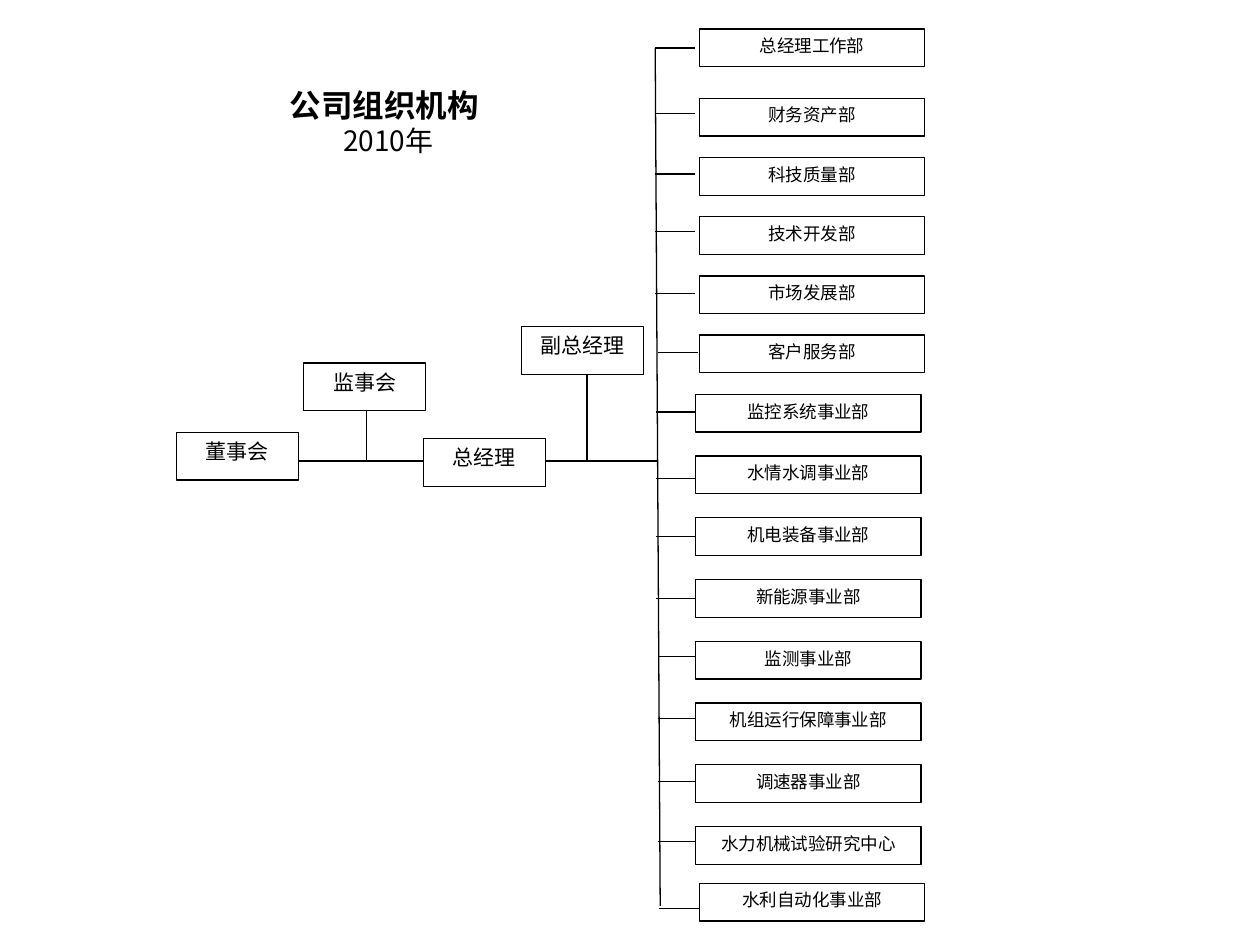
"""Builds a one-slide organisation chart of a company."""
from dataclasses import dataclass

from lxml.etree import SubElement
from pptx import Presentation
from pptx.dml.color import RGBColor
from pptx.enum.shapes import MSO_CONNECTOR, MSO_SHAPE
from pptx.enum.text import MSO_ANCHOR, MSO_AUTO_SIZE, PP_ALIGN
from pptx.oxml.ns import qn
from pptx.util import Inches, Pt


@dataclass(frozen=True)
class Theme:
    ink: RGBColor = RGBColor(0, 0, 0)
    paper: RGBColor = RGBColor(255, 255, 255)
    body_font: str = "Calibri"
    title_font: str = "Noto Sans CJK SC"
    title: Pt = Pt(18)
    subtitle: Pt = Pt(16)
    leader: Pt = Pt(12)
    department: Pt = Pt(10)
    line: Pt = Pt(0.75)


THEME = Theme()

LEADERS = [
    ("副总经理", 4.14, 2.59),
    ("总经理", 3.36, 3.48),
    ("监事会", 2.41, 2.88),
    ("董事会", 1.40, 3.43),
]
LEADER_LINES = [
    (2.37, 3.66, 3.36, 3.66),
    (2.91, 3.25, 2.91, 3.66),
    (4.33, 3.66, 5.22, 3.66),
    (4.66, 2.97, 4.66, 3.66),
]
SPINE = (5.20, 0.38, 5.24, 7.19)
STUB_LENGTH = 0.32

HEAD_OFFICE = [("总经理工作部", 5.20, 0.38)]
OFFICES = [
    ("财务资产部", 5.20, 0.90),
    ("科技质量部", 5.20, 1.38),
    ("技术开发部", 5.20, 1.84),
    ("市场发展部", 5.20, 2.33),
    ("客户服务部", 5.22, 2.80),
]
DIVISIONS = [
    ("监控系统事业部", 5.21, 3.27),
    ("水情水调事业部", 5.21, 3.80),
    ("机电装备事业部", 5.21, 4.26),
    ("新能源事业部", 5.21, 4.75),
    ("监测事业部", 5.22, 5.21),
    ("机组运行保障事业部", 5.22, 5.70),
    ("调速器事业部", 5.22, 6.20),
    ("水力机械试验研究中心", 5.22, 6.68),
]
AUTOMATION = [("水利自动化事业部", 5.23, 7.21)]

DEPARTMENT_GROUPS = [
    (HEAD_OFFICE, 5.55, 0.23, 0),
    (OFFICES, 5.55, 0.78, 0.47),
    (DIVISIONS, 5.52, 3.13, 0.49),
    (AUTOMATION, 5.55, 7.01, 0),
]


def style_paragraph(p, size, font, bold=False):
    """Centre a paragraph and set its font."""
    p.alignment = PP_ALIGN.CENTER
    p.font.size, p.font.name, p.font.bold = size, font, bold
    p.font.color.rgb = THEME.ink


def style_box(sp, line_color):
    """Give a box a white fill and a thin outline."""
    sp.fill.solid()
    sp.fill.fore_color.rgb = THEME.paper
    sp.line.color.rgb = line_color
    sp.line.width = THEME.line
    sp.text_frame.vertical_anchor = MSO_ANCHOR.TOP


def add_title(slide):
    """Fill and place the title with the year below it."""
    sp = slide.shapes.title
    sp.left, sp.top, sp.width, sp.height = map(Inches, (1.48, 0.63, 3.2, 0.67))
    style_box(sp, THEME.paper)
    tf = sp.text_frame
    tf.auto_size = MSO_AUTO_SIZE.SHAPE_TO_FIT_TEXT
    tf.text = "公司组织机构 \n2010年"
    heading, year = tf.paragraphs
    style_paragraph(heading, THEME.title, THEME.title_font, bold=True)
    style_paragraph(year, THEME.subtitle, THEME.title_font)


def add_box(slide, text, left, top, width, height, size):
    """Add an outlined box with centred text."""
    sp = slide.shapes.add_shape(
        MSO_SHAPE.RECTANGLE, *map(Inches, (left, top, width, height)))
    sp.shadow.inherit = False
    style_box(sp, THEME.ink)
    p = sp.text_frame.paragraphs[0]
    p.text = text
    style_paragraph(p, size, THEME.body_font)


def add_line(slide, x1, y1, x2, y2):
    """Add a thin straight connector without shadow."""
    line = slide.shapes.add_connector(
        MSO_CONNECTOR.STRAIGHT, *map(Inches, (x1, y1, x2, y2)))
    line.line.color.rgb = THEME.ink
    line.line.width = THEME.line
    SubElement(line._element.spPr, qn("a:effectLst"))


def add_departments(slide, departments, left, top, pitch):
    """Add a column of evenly spaced departments with their stubs."""
    for i, (name, x, y) in enumerate(departments):
        add_line(slide, x, y, x + STUB_LENGTH, y)
        add_box(slide, name, left, top + i * pitch, 1.79, 0.3, THEME.department)


def main():
    """Build and save the slide."""
    prs = Presentation()
    prs.slide_width, prs.slide_height = Inches(10), Inches(7.5)
    slide = prs.slides.add_slide(prs.slide_layouts[5])
    add_title(slide)
    for name, left, top in LEADERS:
        add_box(slide, name, left, top, 0.97, 0.38, THEME.leader)
    for ends in [*LEADER_LINES, SPINE]:
        add_line(slide, *ends)
    for group in DEPARTMENT_GROUPS:
        add_departments(slide, *group)
    prs.save("out.pptx")


if __name__ == "__main__":
    main()
